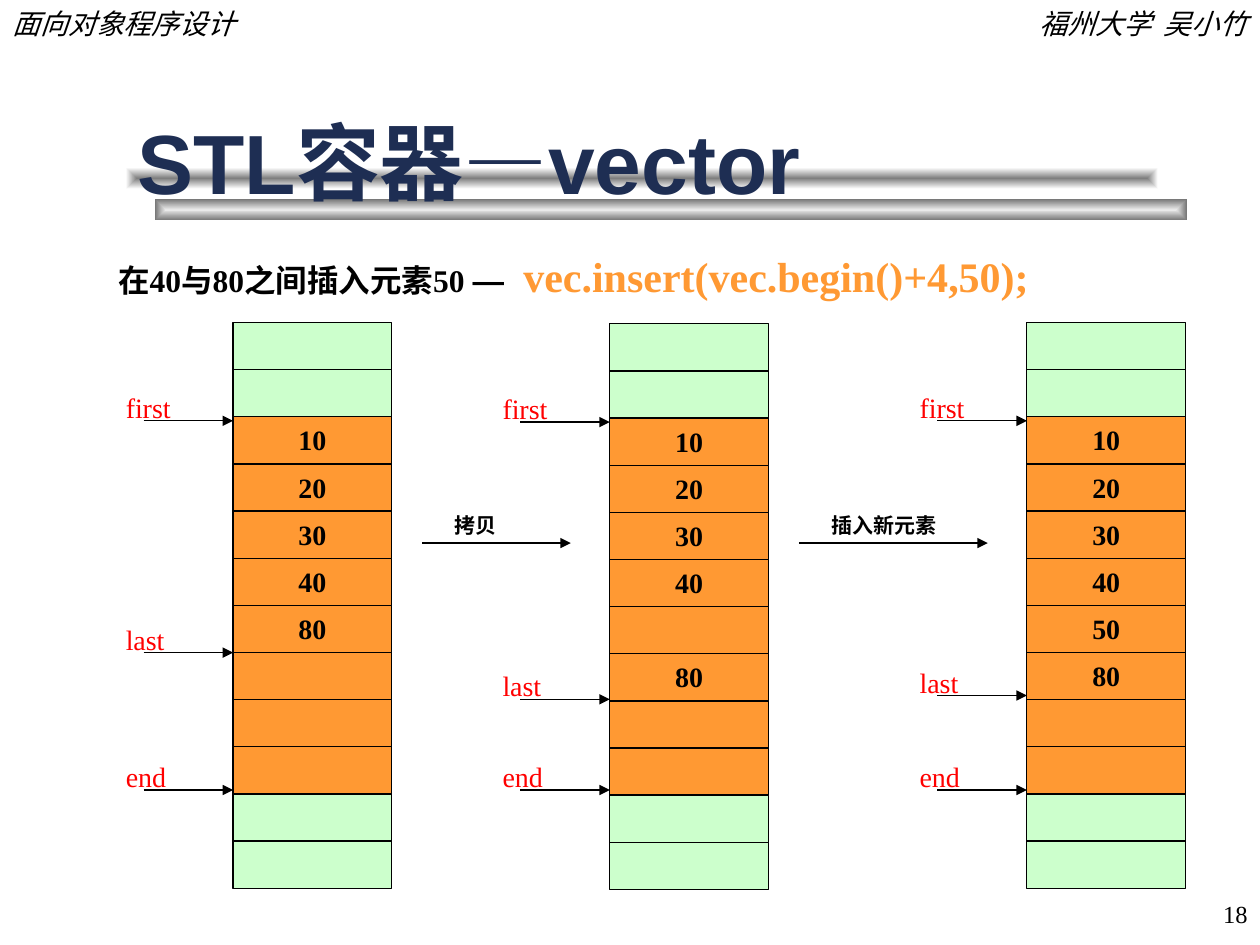
import pptx
import pptx.util
import pptx.dml.color
import pptx.enum.text
import pptx.enum.shapes
import pptx.oxml.ns
import pptx.oxml.xmlchemy

Inches, Pt = pptx.util.Inches, pptx.util.Pt
ALIGN = pptx.enum.text.PP_ALIGN
ANCHOR = pptx.enum.text.MSO_ANCHOR
RECT = pptx.enum.shapes.MSO_SHAPE.RECTANGLE
STRAIGHT = pptx.enum.shapes.MSO_CONNECTOR.STRAIGHT
make = pptx.oxml.xmlchemy.OxmlElement

SERIF, SANS = "Times New Roman", "Arial"
BLACK, RED, NAVY = "000000", "FF0000", "1E2E53"
ORANGE, GREEN = "FF9933", "CCFFCC"

TITLE = "STL容器—vector"
# text, format
HEADING = [
    ("在40与80之间插入元素50 ", dict(size=18, bold=True)),
    ("— ", dict(size=18, bold=True, face=SANS)),
    (" ", dict(size=24)),
    ("vec.insert(vec.begin()+4,50);", dict(size=24, bold=True, color=ORANGE)),
]
# left, top, height of "last" pointer, values in the used cells
VECTORS = [
    (1.85, 2.56, 5.18, ["10", "20", "30", "40", "80", "", "", ""]),
    (4.84, 2.57, 5.55, ["10", "20", "30", "40", "", "80", "", ""]),
    (8.15, 2.56, 5.52, ["10", "20", "30", "40", "50", "80", "", ""]),
]
# label, arrow start, arrow end
STEPS = [("拷贝", 3.35, 4.53), ("插入新元素", 6.34, 7.84)]
# left, top, centre colour, edge colour
BARS = [(1.0, 1.33, "7F7F7F", "FFFFFF"), (1.23, 1.58, "EAEAEA", "757575")]

CELL_W, CELL_H = 1.26, 4.49 / 12
SPARE = 2  # free cells above and below the used ones
STEP_Y = 4.31
RISE = 0.29  # from an arrow up to the top of its label


def rgb(code):
    return pptx.dml.color.RGBColor.from_string(code)


def write(para, text, size=16, color=BLACK, face=SERIF, bold=False, italic=False):
    run = para.add_run()
    run.text = text
    font = run.font
    font.size, font.bold, font.italic = Pt(size), bold, italic
    font.color.rgb = rgb(color)
    font.name = face


def label(slide, box, parts, align=ALIGN.LEFT, anchor=ANCHOR.TOP):
    """Add a text box from (text, format) pairs."""
    frame = slide.shapes.add_textbox(*map(Inches, box)).text_frame
    frame.word_wrap = True
    frame.vertical_anchor = anchor
    frame.paragraphs[0].alignment = align
    for text, style in parts:
        write(frame.paragraphs[0], text, **style)


def block(slide, box):
    shape = slide.shapes.add_shape(RECT, *map(Inches, box))
    shape.shadow.inherit = False
    return shape


def bar(slide, left, top, centre, edge):
    """Add a bar shaded from its centre to its edges, behind all else."""
    shape = block(slide, (left, top, 8.19, 0.17))
    shape.line.fill.background()
    shape.fill.gradient()
    for stop, color in zip(shape.fill.gradient_stops, (centre, edge)):
        stop.color.rgb = rgb(color)
    lin = shape.element.spPr.find(".//" + pptx.oxml.ns.qn("a:lin"))
    shade = make("a:path")
    shade.set("path", "rect")
    focus = make("a:fillToRect")
    for side in "ltrb":
        focus.set(side, "50000")
    shade.append(focus)
    lin.getparent().replace(lin, shade)
    slide.shapes.element.insert(2, shape.element)


def cell(slide, left, top, text, color):
    shape = block(slide, (left, top, CELL_W, CELL_H))
    shape.fill.solid()
    shape.fill.fore_color.rgb = rgb(color)
    shape.line.color.rgb = rgb(BLACK)
    shape.line.width = Pt(0.75)
    if text:
        frame = shape.text_frame
        frame.vertical_anchor = ANCHOR.TOP
        frame.paragraphs[0].alignment = ALIGN.CENTER
        write(frame.paragraphs[0], text, bold=True)


def arrow(slide, start, end, y):
    line = slide.shapes.add_connector(STRAIGHT, *map(Inches, (start, y, end, y)))
    line.line.color.rgb = rgb(BLACK)
    line.line.width = Pt(0.75)
    head = make("a:tailEnd")
    head.set("type", "triangle")
    props = line.element.spPr
    props.get_or_add_ln().append(head)
    props.append(make("a:effectLst"))


def vector(slide, left, top, last, values):
    cells = [""] * SPARE + values + [""] * SPARE
    for row, text in enumerate(cells):
        used = SPARE <= row < len(cells) - SPARE
        cell(slide, left, top + row * CELL_H, text, ORANGE if used else GREEN)
    for name, y in (("first", top + 0.78), ("last", last), ("end", 6.27)):
        arrow(slide, left - 0.71, left, y)
        label(slide, (left - 0.95, y - RISE, 0.7, 0.37), [(name, dict(color=RED))])


def main():
    deck = pptx.Presentation()
    deck.slide_width, deck.slide_height = Inches(10), Inches(7.5)
    slide = deck.slides.add_slide(deck.slide_layouts[5])

    title = slide.shapes.title
    title.left, title.top, title.width, title.height = map(
        Inches, (0.99, 0.92, 8.5, 0.72))
    frame = title.text_frame
    frame.auto_size = pptx.enum.text.MSO_AUTO_SIZE.NONE
    frame.vertical_anchor = ANCHOR.MIDDLE
    frame.paragraphs[0].alignment = ALIGN.LEFT
    write(frame.paragraphs[0], TITLE, size=48, color=NAVY, face=SANS, bold=True)
    for shading in BARS:
        bar(slide, *shading)

    slant = dict(italic=True)
    label(slide, (0, 0, 3.08, 0.37), [("面向对象程序设计", slant)])
    label(slide, (6.92, 0, 3.08, 0.37), [("福州大学  吴小竹", slant)], ALIGN.RIGHT)
    label(slide, (7.92, 7, 2.08, 0.5), [("18", dict(size=14))],
          ALIGN.RIGHT, ANCHOR.MIDDLE)
    label(slide, (0.84, 1.94, 8.5, 0.5), HEADING)

    for column in VECTORS:
        vector(slide, *column)
    for text, start, end in STEPS:
        arrow(slide, start, end, STEP_Y)
        label(slide, (start + 0.16, STEP_Y - RISE, end - start - 0.16, 0.3),
              [(text, dict(size=12, bold=True))])

    deck.save("out.pptx")


if __name__ == "__main__":
    main()
